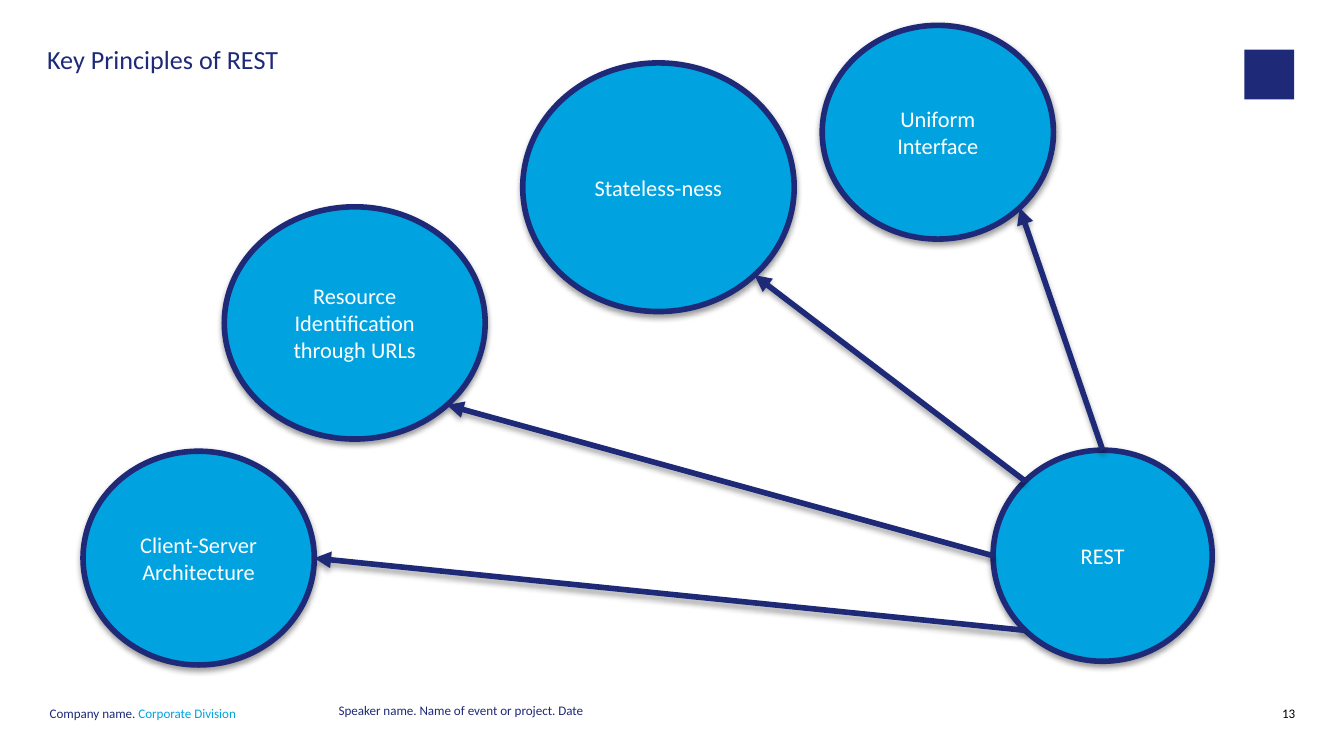
from math import cos, radians, sin

from pptx import Presentation
from pptx.dml.color import RGBColor
from pptx.enum.shapes import MSO_CONNECTOR, MSO_SHAPE
from pptx.enum.text import MSO_ANCHOR as Anchor, MSO_AUTO_SIZE as AutoSize, PP_ALIGN as Align
from pptx.oxml import parse_xml
from pptx.oxml.ns import nsdecls
from pptx.util import Cm, Pt

COLORS = {"navy": "1E2A78", "sky": "00A3E0", "white": "FFFFFF", "black": "000000"}
FONT = "Calibri"
ROOT = ("REST", (17.2, 8.03, 4.14, 3.99))
PRINCIPLES = [
    ("Uniform Interface", (13.97, 0, 4.37, 4.04), 270, 45),
    ("Stateless-ness", (8.31, 0.71, 5.13, 4.7), 225, 45),
    ("Resource Identification through URLs", (2.67, 3.43, 4.93, 4.39), 180, 45),
    ("Client-Server Architecture", (0, 8.05, 4.37, 4.04), 135, 0),
]


def color(name):
    """Return the named palette color."""
    return RGBColor.from_string(COLORS[name])


def fill_text(shape, runs, size, frame_format, paragraph_format):
    """Write colored runs as one paragraph in a shape."""
    frame = shape.text_frame
    frame.word_wrap = True
    frame.auto_size = AutoSize.NONE
    for name, value in frame_format.items():
        setattr(frame, name, value)
    paragraph = frame.paragraphs[0]
    for name, value in paragraph_format.items():
        setattr(paragraph, name, value)
    for text, color_name in runs:
        run = paragraph.add_run()
        run.text = text
        run.font.name = FONT
        run.font.size = Pt(size)
        run.font.color.rgb = color(color_name)


def insets(horizontal, vertical, anchor):
    """Return text frame settings with equal opposite margins."""
    return {
        "margin_left": Cm(horizontal), "margin_right": Cm(horizontal),
        "margin_top": Cm(vertical), "margin_bottom": Cm(vertical),
        "vertical_anchor": anchor,
    }


def outline_with_shadow(shape, distance, opacity):
    """Give a shape or connector its navy line and soft downward shadow."""
    shape.line.color.rgb = color("navy")
    shape.line.width = Pt(3)
    shape._element.spPr.append(parse_xml(
        f'<a:effectLst {nsdecls("a")}><a:outerShdw blurRad="{Pt(3.1)}" dist="{Pt(distance)}" '
        f'dir="5400000" rotWithShape="0"><a:srgbClr val="{COLORS["black"]}">'
        f'<a:alpha val="{opacity * 1000}"/></a:srgbClr></a:outerShdw></a:effectLst>'))


def rim_point(box, angle):
    """Return the point of an ellipse at an angle, clockwise from the right."""
    left, top, width, height = box
    return (Cm(left + width / 2 * (1 + cos(radians(angle)))),
            Cm(top + height / 2 * (1 + sin(radians(angle)))))


def add_bubble(slide, text, box):
    """Add a labelled ellipse filling the box."""
    bubble = slide.shapes.add_shape(MSO_SHAPE.OVAL, *map(Cm, box))
    bubble.fill.solid()
    bubble.fill.fore_color.rgb = color("sky")
    outline_with_shadow(bubble, 1.6, 38)
    fill_text(bubble, [(text, "white")], 12, insets(0.28, 0.15, Anchor.MIDDLE),
              {"alignment": Align.CENTER})


def add_arrow(slide, start, end):
    """Add an arrow between two points."""
    arrow = slide.shapes.add_connector(MSO_CONNECTOR.STRAIGHT, *start, *end)
    outline_with_shadow(arrow, 1.8, 35)
    arrow.line._get_or_add_ln().append(
        parse_xml(f'<a:tailEnd {nsdecls("a")} type="triangle"/>'))


def add_diagram(slide, left, top):
    """Add the root, the principles and their arrows from a top left corner."""
    def placed(box):
        """Shift a box to the corner of the diagram."""
        return (left + box[0], top + box[1], *box[2:])

    root_text, root_box = ROOT
    add_bubble(slide, root_text, placed(root_box))
    for text, box, _, _ in PRINCIPLES:
        add_bubble(slide, text, placed(box))
    for _, box, root_angle, angle in PRINCIPLES:
        add_arrow(slide, rim_point(placed(root_box), root_angle), rim_point(placed(box), angle))


def place_title(slide, text, box):
    """Move and format the title placeholder."""
    title = slide.shapes.title
    title.left, title.top, title.width, title.height = map(Cm, box)
    fill_text(title, [(text, "navy")], 14, insets(0, 0, Anchor.TOP),
              {"alignment": Align.LEFT, "line_spacing": 0.9})


def add_emblem(slide, box):
    """Add a plain square in the top corner."""
    emblem = slide.shapes.add_shape(MSO_SHAPE.RECTANGLE, *map(Cm, box))
    emblem.shadow.inherit = False
    emblem.fill.solid()
    emblem.fill.fore_color.rgb = color("navy")
    emblem.line.fill.background()


def add_footer(slide, box):
    """Add the division, event and page number along the footer box."""
    left, top, width, height = box
    number_width = 0.97
    parts = [
        (0, 5, [("Company name. ", "navy"), ("Corporate Division", "sky")], 8, Align.LEFT),
        (5.46, 12.45, [("Speaker name. Name of event or project. Date", "navy")], 6.5, Align.LEFT),
        (width - number_width, number_width, [("13", "black")], 8, Align.RIGHT),
    ]
    for offset, part_width, runs, spacing, alignment in parts:
        text_box = slide.shapes.add_textbox(
            Cm(left + offset), Cm(top), Cm(part_width), Cm(height))
        fill_text(text_box, runs, 7, insets(0, 0, Anchor.TOP),
                  {"alignment": alignment, "line_spacing": Pt(spacing)})


def main():
    """Build and save the slide."""
    presentation = Presentation()
    presentation.slide_width, presentation.slide_height = Cm(25.4), Cm(14.29)
    slide = presentation.slides.add_slide(presentation.slide_layouts[5])
    add_emblem(slide, (23.52, 0.94, 0.94, 0.94))
    place_title(slide, "Key Principles of REST", (0.89, 0.89, 21.69, 0.99))
    add_footer(slide, (0.94, 13.34, 23.54, 0.66))
    add_diagram(slide, 1.57, 0.48)
    presentation.save("out.pptx")


if __name__ == "__main__":
    main()
